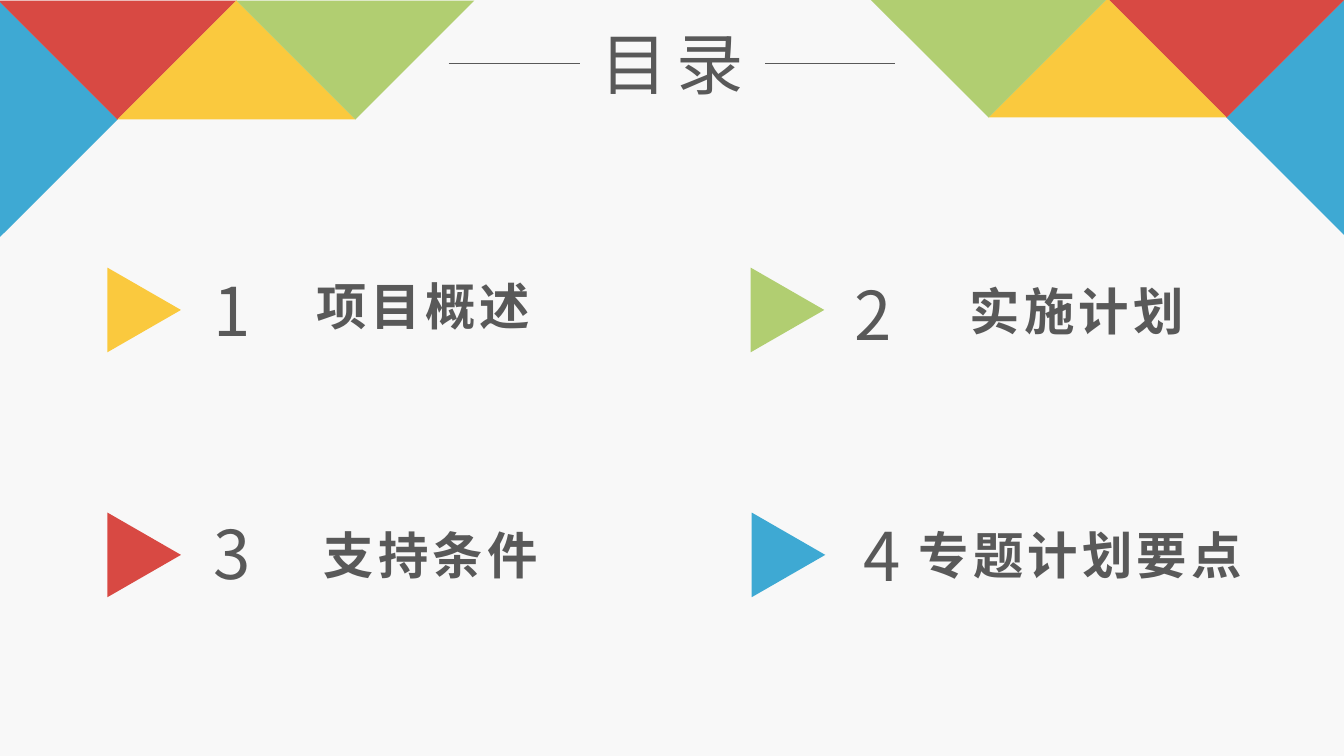
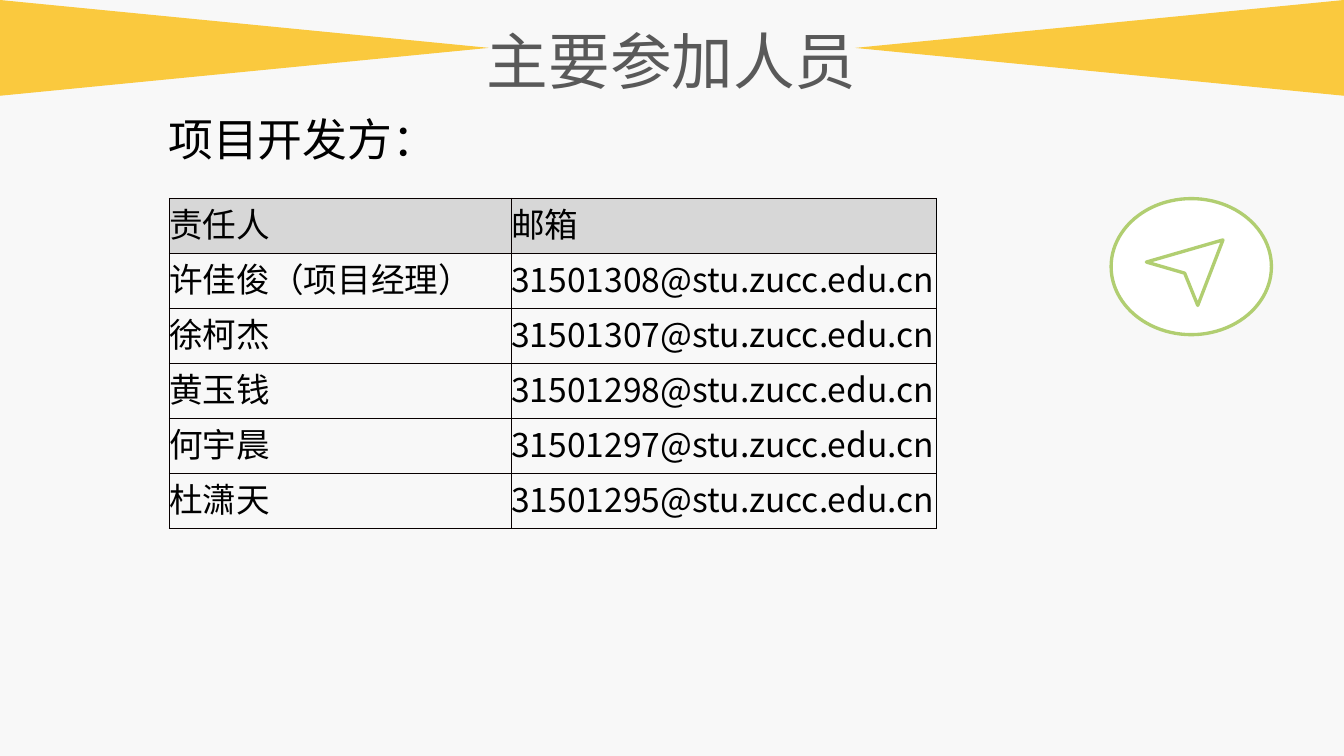
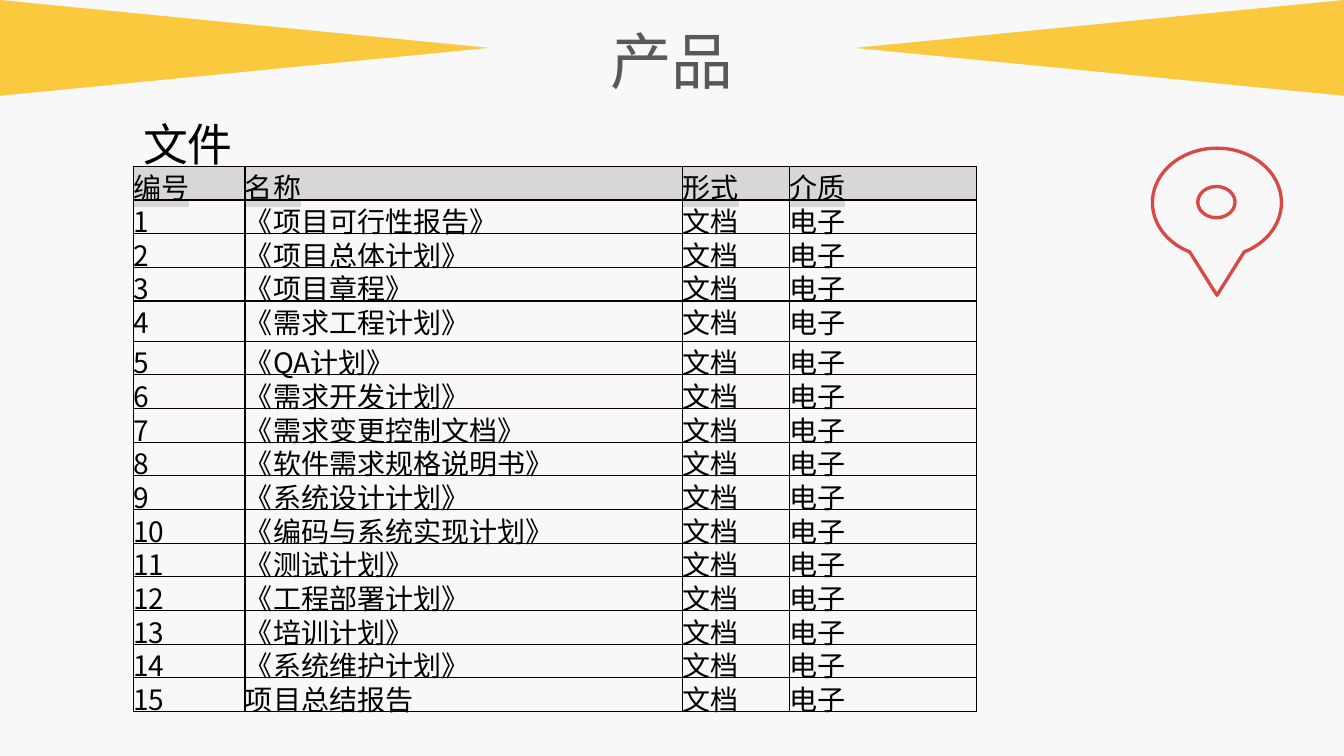
import math

from lxml import etree
from pptx import Presentation
from pptx import util as u
from pptx.dml.color import RGBColor
from pptx.enum import shapes, text
from pptx.oxml.ns import qn

PX = 9144
COLORS = {
    "bg": "F8F8F8", "blue": "3EA9D3", "red": "D84943", "yellow": "FAC93E",
    "green": "B1CE71", "gray": "595959", "black": "000000", "white": "FFFFFF",
    "head": "D7D7D7", "border": "080000",
}
FONT = "Noto Sans CJK SC"
LATIN = "Calibri"


class Deck:
    """Holds the shared style and the current slide."""

    def __init__(self):
        self.prs = Presentation()
        self.prs.slide_width = u.Emu(1333 * PX)
        self.prs.slide_height = u.Emu(750 * PX)
        self.s = None

    def rgb(self, name):
        return RGBColor.from_string(COLORS[name])

    def emu(self, *lengths):
        return [u.Emu(round(n * PX)) for n in lengths]

    def slide(self):
        self.s = self.prs.slides.add_slide(self.prs.slide_layouts[6])
        fill = self.s.background.fill
        fill.solid()
        fill.fore_color.rgb = self.rgb("bg")

    def banded_slide(self, title):
        self.slide()
        self.shape("ISOSCELES_TRIANGLE", 195, -195, 95, 485, "yellow", rot=90)
        self.shape("ISOSCELES_TRIANGLE", 1043, -195, 95, 485, "yellow", rot=270)
        self.text(473, 18, 387, 84, title, 44)

    def paint(self, sp, fill, line):
        sp.shadow.inherit = False
        if fill:
            sp.fill.solid()
            sp.fill.fore_color.rgb = self.rgb(fill)
        else:
            sp.fill.background()
        if line:
            sp.line.color.rgb = self.rgb(line)
            sp.line.width = u.Pt(2.38)
        else:
            sp.line.fill.background()

    def shape(self, kind, x, y, w, h, fill=None, line=None, rot=0):
        kind = getattr(shapes.MSO_SHAPE, kind)
        sp = self.s.shapes.add_shape(kind, *self.emu(x, y, w, h))
        sp.rotation = rot
        self.paint(sp, fill, line)

    def outline(self, points, fill=None, line=None):
        first, *rest = [self.emu(*point) for point in points]
        builder = self.s.shapes.build_freeform(*first)
        builder.add_line_segments(rest, close=True)
        self.paint(builder.convert_to_shape(), fill, line)

    def rule(self, x1, x2, y):
        line = self.s.shapes.add_connector(
            shapes.MSO_CONNECTOR.STRAIGHT, *self.emu(x1, y, x2, y))
        line.line.color.rgb = self.rgb("gray")
        line.line.width = u.Pt(0.5)
        etree.SubElement(line._element.spPr, qn("a:effectLst"))

    def run(self, p, content, size, color, bold=False, spacing=0,
            font=FONT, highlight=None):
        r = p.add_run()
        r.text = content
        r.font.size = u.Pt(size)
        r.font.bold = bold
        r.font.color.rgb = self.rgb(color)
        r.font.name = font
        rpr = r._r.get_or_add_rPr()
        latin = rpr.find(qn("a:latin"))
        east = etree.Element(qn("a:ea"), typeface=FONT)
        latin.addnext(east)
        if spacing:
            rpr.set("spc", str(spacing * 100))
        if highlight:
            mark = etree.Element(qn("a:highlight"))
            etree.SubElement(mark, qn("a:srgbClr"), val=COLORS[highlight])
            latin.addprevious(mark)

    def text(self, x, y, w, h, content, size, color="gray", align="CENTER",
             anchor="TOP", leading=None, **style):
        tf = self.s.shapes.add_textbox(*self.emu(x, y, w, h)).text_frame
        tf.word_wrap = True
        tf.auto_size = text.MSO_AUTO_SIZE.SHAPE_TO_FIT_TEXT
        tf.vertical_anchor = getattr(text.MSO_ANCHOR, anchor)
        p = tf.paragraphs[0]
        p.alignment = getattr(text.PP_ALIGN, align)
        if leading:
            p.line_spacing = leading
        self.run(p, content, size, color, **style)

    def subtitle(self, x, y, w, h, content):
        self.text(x, y, w, h, content, 32, "black", "LEFT", leading=1.3)

    def borders(self, cell, first_column):
        tcpr = cell._tc.get_or_add_tcPr()
        for i, side in enumerate("LRTB"):
            thin = side == "R" and not first_column
            width = u.Pt(0.75 if thin else 1)
            ln = etree.Element(qn(f"a:ln{side}"), w=str(width))
            fill = etree.SubElement(ln, qn("a:solidFill"))
            color = COLORS["black" if thin else "border"]
            etree.SubElement(fill, qn("a:srgbClr"), val=color)
            tcpr.insert(i, ln)

    def table(self, x, y, height, cols, row_heights, rows, size, highlight=None):
        frame = self.s.shapes.add_table(
            len(rows), len(cols), *self.emu(x, y, sum(cols), height))
        table = frame.table
        table.first_row = table.horz_banding = False
        for column, width in zip(table.columns, cols):
            column.width = u.Emu(width * PX)
        for row, row_height in zip(table.rows, row_heights):
            row.height = u.Emu(round(row_height * PX))
        frame.height = u.Emu(height * PX)
        for i, row in enumerate(rows):
            for j, content in enumerate(row):
                cell = table.cell(i, j)
                cell.margin_left = cell.margin_right = 0
                cell.margin_top = cell.margin_bottom = 0
                if i == 0:
                    cell.fill.solid()
                    cell.fill.fore_color.rgb = self.rgb("head")
                else:
                    cell.fill.background()
                self.borders(cell, j == 0)
                runs = [(content, FONT)] if isinstance(content, str) else content
                for part, font in runs:
                    self.run(cell.text_frame.paragraphs[0], part, size, "black",
                             font=font, highlight=None if i else highlight)


def contents(deck):
    """Builds the table of contents."""
    deck.slide()
    for start, step, top, blue_turn in ((-85, 118, 35, 225), (1251, -118, 33, 45)):
        for i, color in enumerate(("blue", "red", "yellow", "green")):
            turn = (blue_turn, 315, 135, 315)[i]
            deck.shape("RIGHT_TRIANGLE", start + i * step, top - i % 2 * 118,
                       167, 167, color, rot=turn)
    entries = (
        ("1", "项目概述 ", "yellow", (101, 271), (197, 262), (248, 268, 359), "TOP"),
        ("2", "实施计划", "green", (739, 271), (833, 266), (866, 273, 404), "MIDDLE"),
        ("3", "支持条件", "red", (101, 514), (197, 503), (251, 515, 353), "MIDDLE"),
        ("4", "专题计划要点", "blue", (740, 514), (842, 505), (895, 515, 353), "MIDDLE"),
    )
    for number, label, color, marker, number_at, label_at, anchor in entries:
        deck.shape("ISOSCELES_TRIANGLE", *marker, 84, 73, color, rot=90)
        deck.text(*number_at, 66, 91, number, 48)
        deck.text(*label_at, 70, label, 36, anchor=anchor, bold=True, spacing=3)
    deck.text(565, 17, 203, 90, "目录", 48, spacing=6)
    deck.rule(445, 575, 63)
    deck.rule(759, 888, 63)


def members(deck):
    """Builds the list of participants."""
    deck.banded_slide("主要参加人员")
    deck.shape("OVAL", 1102, 197, 159, 135, "white", "green")
    deck.outline([(1188, 303), (1175, 271), (1137, 260), (1213, 238)],
                 "white", "green")
    deck.subtitle(157, 90, 749, 149, "项目开发方：")
    people = (("许佳俊（项目经理）", "31501308"), ("徐柯杰", "31501307"),
              ("黄玉钱", "31501298"), ("何宇晨", "31501297"),
              ("杜潇天", "31501295"))
    rows = [("责任人", "邮箱")]
    rows += [(name, f"{number}@stu.zucc.edu.cn") for name, number in people]
    deck.table(168, 197, 327, (339, 422), [327 / len(rows)] * len(rows), rows, 24)


def products(deck):
    """Builds the list of documents."""
    deck.banded_slide("产品")
    deck.shape("OVAL", 1188, 185, 37, 31, line="red")
    arc = [math.radians(a) for a in range(115, 426, 5)]
    pin = [(1207 + 64 * math.cos(a), 201 + 54 * math.sin(a)) for a in arc]
    deck.outline([(1207, 293)] + pin, line="red")
    deck.subtitle(132, 95, 435, 79, "文件")
    names = (
        "《项目可行性报告》",
        (("《项目总体", FONT), ("计划", LATIN), ("》", FONT)),
        "《项目章程》", "《需求工程计划》", "《QA计划》", "《需求开发计划》",
        "《需求变更控制文档》", "《软件需求规格说明书》", "《系统设计计划》",
        "《编码与系统实现计划》", "《测试计划》", "《工程部署计划》",
        "《培训计划》", "《系统维护计划》",
        (("项目", FONT), ("总结报告", LATIN)),
    )
    rows = [("编号", "名称", "形式", "介质")]
    rows += [(str(i), name, "文档", "电子") for i, name in enumerate(names, 1)]
    heights = [0] * 4 + [40] + [0] * 10 + [24]
    deck.table(132, 165, 640, (111, 434, 106, 186), heights, rows, 20, "head")


def main():
    """Builds and saves the deck."""
    deck = Deck()
    contents(deck)
    members(deck)
    products(deck)
    deck.prs.save("out.pptx")


if __name__ == "__main__":
    main()
